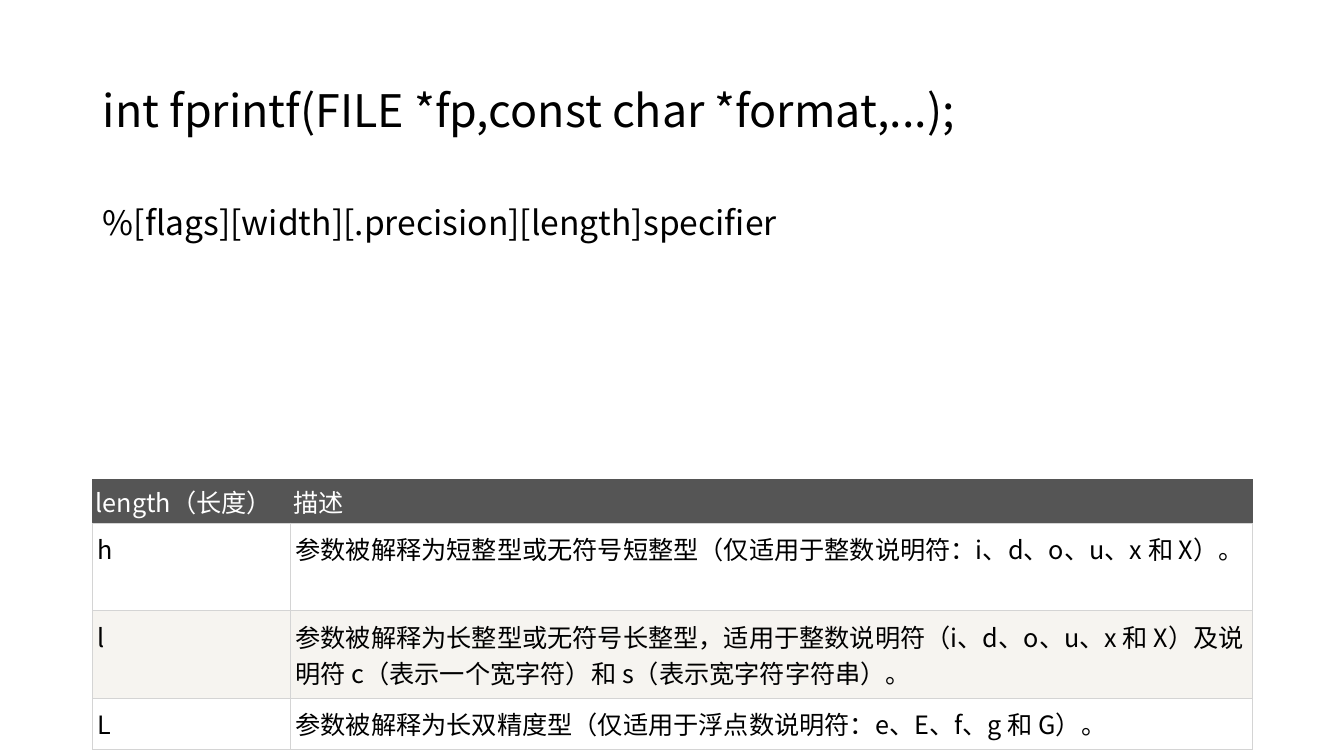
from dataclasses import dataclass

from lxml import etree
from pptx import Presentation
from pptx import util as u
from pptx.dml.color import RGBColor
from pptx.enum import text
from pptx.oxml import ns

FONT = "Noto Sans CJK SC"
BLACK = RGBColor(0x00, 0x00, 0x00)
WHITE = RGBColor(0xFF, 0xFF, 0xFF)
HEADER = RGBColor(0x55, 0x55, 0x55)
BAND = RGBColor(0xF6, 0xF4, 0xF0)
GRID = RGBColor(0xD4, 0xD4, 0xD4)

LEFT, WIDTH = 0.92, 11.5
COLUMN_WIDTHS = (1.96, 9.54)


@dataclass(frozen=True)
class LengthRow:
    length: str
    description: str
    height: float
    fill: RGBColor
    color: RGBColor = BLACK
    inset_x: float = 0.05
    inset_y: float = 0.07
    edge: RGBColor = GRID


ROWS = (
    LengthRow("length（长度）", "描述", 0.43, HEADER, WHITE, 0.03, 0.03, HEADER),
    LengthRow("h", "参数被解释为短整型或无符号短整型（仅适用于整数说明符：i、d、o、u、x 和 X）。", 0.87, WHITE),
    LengthRow("l", "参数被解释为长整型或无符号长整型，适用于整数说明符（i、d、o、u、x 和 X）"
              "及说明符 c（表示一个宽字符）和 s（表示宽字符字符串）。", 0.87, BAND),
    LengthRow("L", "参数被解释为长双精度型（仅适用于浮点数说明符：e、E、f、g 和 G）。", 0.51, WHITE),
)


def format_runs(p, size: float, color: RGBColor) -> None:
    for r in p.runs:
        r.font.size = u.Pt(size)
        r.font.name = FONT
        r.font.color.rgb = color
        ea = etree.SubElement(r._r.get_or_add_rPr(), ns.qn("a:ea"))
        ea.set("typeface", FONT)


def fill_placeholder(sp, top: float, height: float, content: str, size: float):
    """Place a placeholder, set its one line of text and return the paragraph."""
    sp.left, sp.top = u.Inches(LEFT), u.Inches(top)
    sp.width, sp.height = u.Inches(WIDTH), u.Inches(height)
    tf = sp.text_frame
    tf.text = content
    tf.auto_size = text.MSO_AUTO_SIZE.NONE
    p = tf.paragraphs[0]
    p.alignment = text.PP_ALIGN.LEFT
    p.line_spacing = 0.9
    format_runs(p, size, BLACK)
    return p


def remove_bullet(p) -> None:
    pPr = p._p.get_or_add_pPr()
    pPr.set("marL", "0")
    pPr.set("indent", "0")
    etree.SubElement(pPr, ns.qn("a:buNone"))


def add_border(cell, side: str, color: RGBColor) -> None:
    ln = etree.SubElement(cell._tc.get_or_add_tcPr(), ns.qn(f"a:ln{side}"), w=str(u.Pt(0.75)))
    solid = etree.SubElement(ln, ns.qn("a:solidFill"))
    etree.SubElement(solid, ns.qn("a:srgbClr"), val=str(color))


def format_cell(cell, row: LengthRow, content: str) -> None:
    cell.text_frame.text = content
    cell.margin_left = cell.margin_right = u.Inches(row.inset_x)
    cell.margin_top = cell.margin_bottom = u.Inches(row.inset_y)
    for side in "LRT":
        add_border(cell, side, row.edge)
    add_border(cell, "B", GRID)
    cell.fill.solid()
    cell.fill.fore_color.rgb = row.fill
    format_runs(cell.text_frame.paragraphs[0], 18, row.color)


def add_length_table(s) -> None:
    height = sum(row.height for row in ROWS)
    table = s.shapes.add_table(len(ROWS), len(COLUMN_WIDTHS), u.Inches(LEFT), u.Inches(4.76),
                               u.Inches(WIDTH), u.Inches(height)).table
    for column, width in zip(table.columns, COLUMN_WIDTHS):
        column.width = u.Inches(width)
    for i, row in enumerate(ROWS):
        table.rows[i].height = u.Inches(row.height)
        for j, content in enumerate((row.length, row.description)):
            format_cell(table.cell(i, j), row, content)


def main() -> None:
    prs = Presentation()
    prs.slide_width, prs.slide_height = u.Inches(13.33), u.Inches(7.5)
    s = prs.slides.add_slide(prs.slide_layouts[1])
    fill_placeholder(s.shapes.title, 0.4, 1.45, "int fprintf(FILE *fp,const char *format,...);", 32)
    p = fill_placeholder(s.placeholders[1], 2, 4.76, "%[flags][width][.precision][length]specifier", 24)
    p.space_before = u.Pt(10)
    remove_bullet(p)
    add_length_table(s)
    prs.save("out.pptx")


if __name__ == "__main__":
    main()
